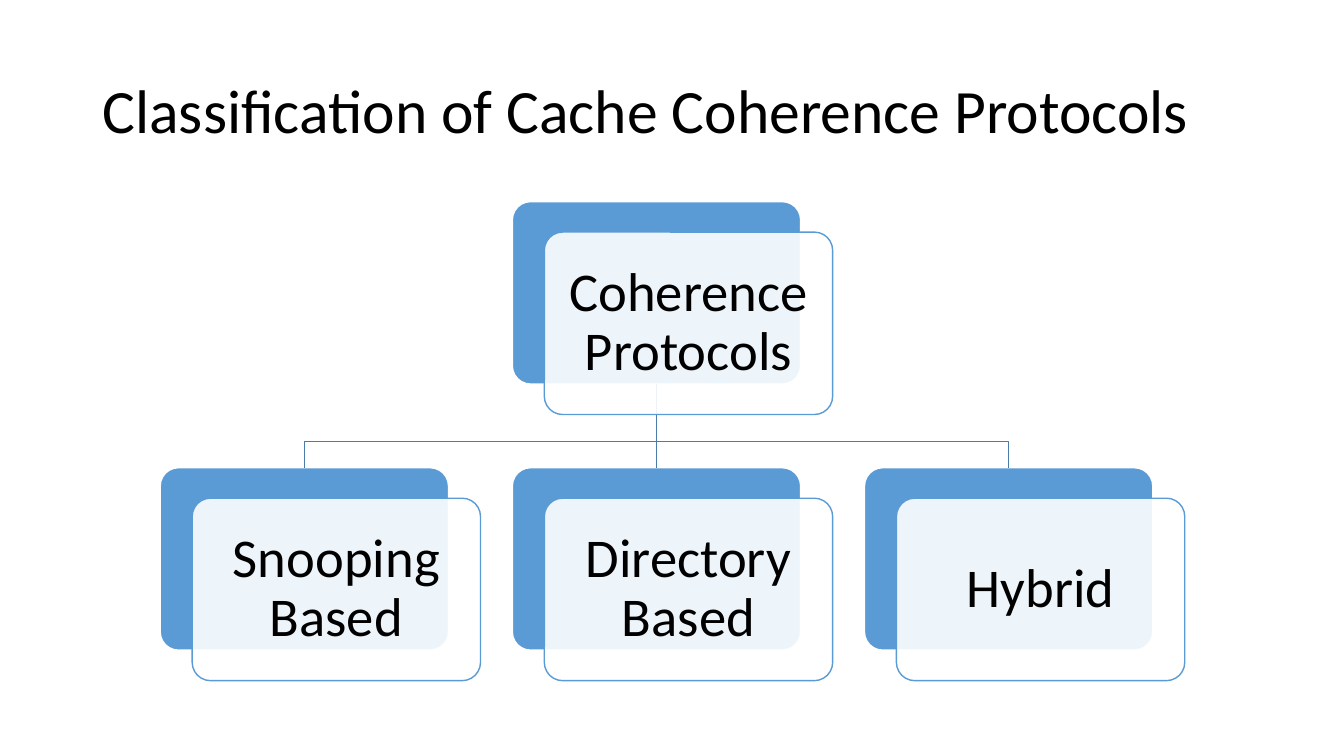
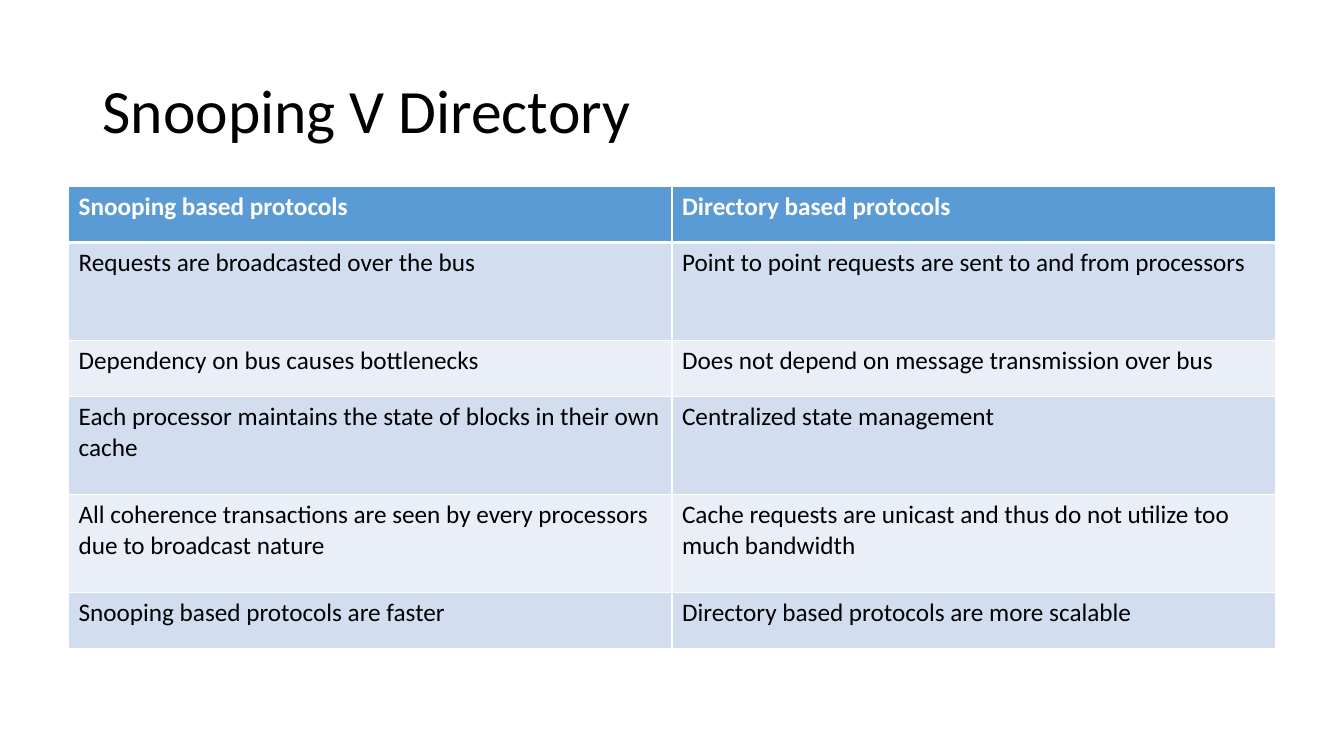
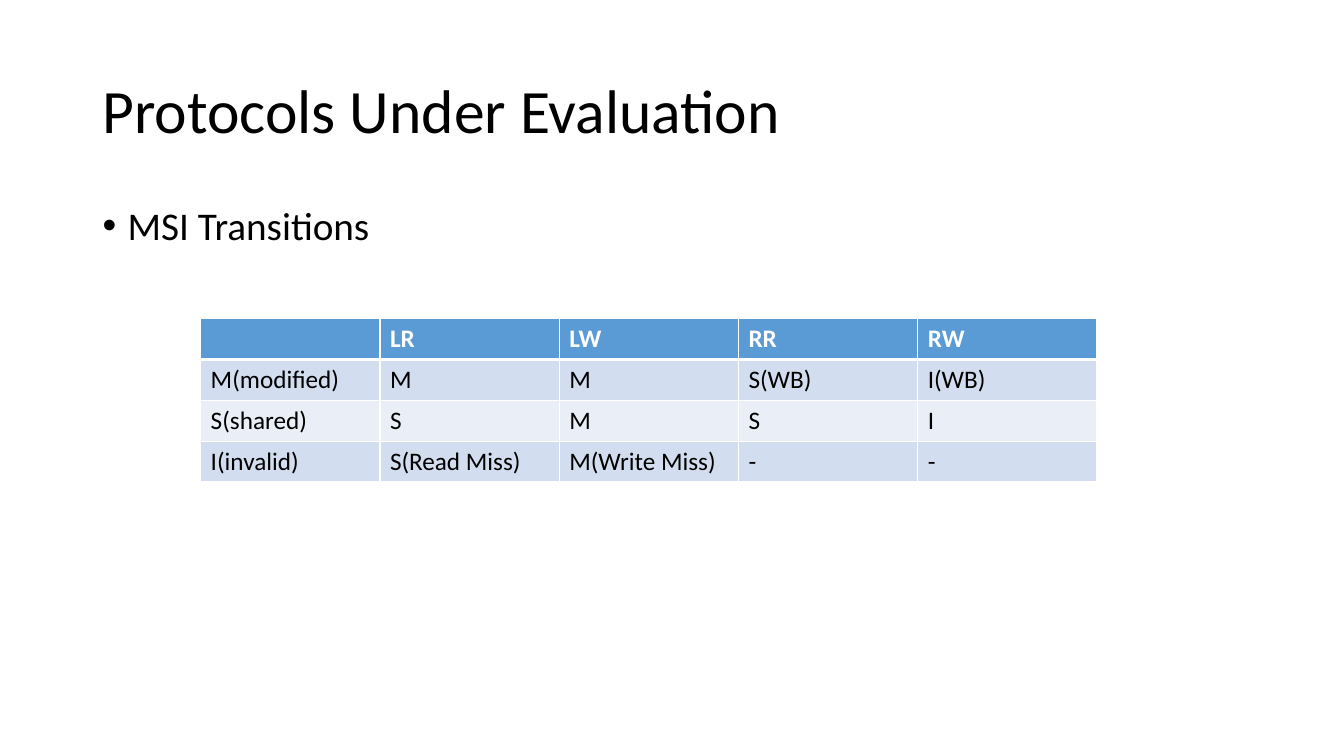
from lxml import etree
from pptx import Presentation
from pptx import util as u
from pptx.dml.color import RGBColor
from pptx.enum import shapes, text
from pptx.oxml import ns

W, H = u.Inches(13.33), u.Inches(7.5)
FONT = "Calibri"
BLACK, WHITE, BLUE, LINK = "000000", "FFFFFF", "5B9BD5", "497CAB"
BANDS = ("D2DEEF", "EAEFF7")
TITLE_BOX = (6.88, 5.32, 86.25, 19.33)
BODY_BOX = (6.88, 26.62, 86.25, 63.45)
CARD_W, CARD_H = 21.45, 24.13
TREE_LEFT, TREE_TOP = 11.92, 26.67
COL_STEP, ROW_STEP = 26.2, 35.2
BEND_Y = 58.4

COMPARISON = [
    ("Snooping based protocols", "Directory based protocols"),
    ("Requests are broadcasted over the bus",
     "Point to point requests are sent to and from processors"),
    ("Dependency on bus causes bottlenecks",
     "Does not depend on message transmission over bus"),
    ("Each processor maintains the state of blocks in their own cache",
     "Centralized state management"),
    ("All coherence transactions are seen by every processors due to broadcast nature",
     "Cache requests are unicast and thus do not utilize too much bandwidth"),
    ("Snooping based protocols are faster",
     "Directory based protocols are more scalable"),
]
TRANSITIONS = [
    ("", "LR", "LW", "RR", "RW"),
    ("M(modified)", "M", "M", "S(WB)", "I(WB)"),
    ("S(shared)", "S", "M", "S", "I"),
    ("I(invalid)", "S(Read Miss)", "M(Write Miss)", "-", "-"),
]


def rgb(value):
    """Turn a hex string into a colour."""
    return RGBColor.from_string(value)


def at(x, y, *size):
    """Turn percentages of the slide's width and height into lengths."""
    return [int(v * (H if i % 2 else W) / 100) for i, v in enumerate((x, y, *size))]


def child(parent, tag, **attrs):
    """Append a drawing element."""
    return etree.SubElement(parent, ns.qn(tag), attrs)


def add_run(p, words, size, color=BLACK, bold=False):
    """Add one formatted run to a paragraph."""
    r = p.add_run()
    r.text = words
    r.font.name, r.font.size, r.font.bold = FONT, u.Pt(size), bold
    r.font.color.rgb = rgb(color)


def fill_placeholder(sp, box, words, size, anchor):
    """Place a placeholder, write its text and return the paragraph."""
    sp.left, sp.top, sp.width, sp.height = at(*box)
    tf = sp.text_frame
    tf.auto_size = text.MSO_AUTO_SIZE.NONE
    tf.vertical_anchor = anchor
    p = tf.paragraphs[0]
    p.alignment, p.line_spacing = text.PP_ALIGN.LEFT, 0.9
    p.space_before = u.Pt(0)
    add_run(p, words, size)
    return p


def add_slide(prs, title, layout=5):
    """Add a slide with the shared title style."""
    s = prs.slides.add_slide(prs.slide_layouts[layout])
    fill_placeholder(s.shapes.title, TITLE_BOX, title, 44, text.MSO_ANCHOR.MIDDLE)
    return s


def add_bullet(s, words):
    """Write one bullet in the body placeholder."""
    p = fill_placeholder(s.placeholders[1], BODY_BOX, words, 28, text.MSO_ANCHOR.TOP)
    pPr = p._p.get_or_add_pPr()
    pPr.set("marL", str(u.Inches(0.25)))
    pPr.set("indent", str(-u.Inches(0.25)))
    child(pPr, "a:buFont", typeface="Arial")
    child(pPr, "a:buChar", char="•")


def add_card(s, col, row, fill, line):
    """Add a rounded card at a column and row of the tree."""
    box = at(TREE_LEFT + col * COL_STEP, TREE_TOP + row * ROW_STEP, CARD_W, CARD_H)
    sp = s.shapes.add_shape(shapes.MSO_SHAPE.ROUNDED_RECTANGLE, *box)
    sp.adjustments[0] = 0.1
    sp.shadow.inherit = False
    sp.fill.solid()
    sp.fill.fore_color.rgb = rgb(fill)
    sp.line.color.rgb = rgb(line)
    sp.line.width = u.Pt(1)
    return sp


def add_label_card(s, col, row, words):
    """Add the translucent front card that carries a label."""
    sp = add_card(s, col, row, WHITE, BLUE)
    dx, dy = at(2.38, 4.03)
    sp.left, sp.top = sp.left + dx, sp.top + dy
    color = sp._element.spPr.find(ns.qn("a:solidFill"))[0]
    child(color, "a:alpha", val="90000")
    tf = sp.text_frame
    tf.word_wrap = True
    tf.vertical_anchor = text.MSO_ANCHOR.MIDDLE
    tf.margin_left = tf.margin_right = tf.margin_top = tf.margin_bottom = u.Inches(0.16)
    p = tf.paragraphs[0]
    p.alignment, p.line_spacing = text.PP_ALIGN.CENTER, 0.9
    add_run(p, words, 39)


def style_link(sp):
    """Give a tree line its colour and width."""
    sp.line.color.rgb = rgb(LINK)
    sp.line.width = u.Pt(1)


def add_straight_link(s, parent, below):
    """Join a card to the one right below it."""
    sp = s.shapes.add_connector(shapes.MSO_CONNECTOR.STRAIGHT, 0, 0, 0, 0)
    sp.begin_connect(parent, 2)
    sp.end_connect(below, 0)
    style_link(sp)
    child(sp._element.spPr, "a:effectLst")


def add_bent_link(s, parent, below):
    """Draw a bent line from a card to one in another column."""
    x1, y1 = parent.left + parent.width // 2, parent.top + parent.height
    x2, y2 = below.left + below.width // 2, below.top
    bend = at(0, BEND_Y)[1]
    path = s.shapes.build_freeform(x1, y1)
    path.add_line_segments([(x1, bend), (x2, bend), (x2, y2)], close=False)
    sp = path.convert_to_shape()
    sp.shadow.inherit = False
    sp.fill.background()
    style_link(sp)


def add_tree(s, nodes):
    """Draw a root card and its children from (column, row, label) nodes."""
    root, *leaves = [add_card(s, col, row, BLUE, WHITE) for col, row, _ in nodes]
    for leaf in leaves:
        link = add_straight_link if leaf.left == root.left else add_bent_link
        link(s, root, leaf)
    for node in nodes:
        add_label_card(s, *node)


def set_borders(cell, row):
    """Give a cell white borders, thicker under the header."""
    tcPr = cell._tc.get_or_add_tcPr()
    thick = {(0, "B"), (1, "T")}
    for side in "LRTB":
        width = u.Pt(3 if (row, side) in thick else 1)
        ln = child(tcPr, f"a:ln{side}", w=str(width))
        child(child(ln, "a:solidFill"), "a:srgbClr", val=WHITE)


def add_table(s, box, rows, weights):
    """Add a banded table with equal columns and weighted rows."""
    x, y, w, h = at(*box)
    table = s.shapes.add_table(len(rows), len(rows[0]), x, y, w, h).table
    for i, (words, weight) in enumerate(zip(rows, weights)):
        table.rows[i].height = int(h * weight / sum(weights))
        for j, word in enumerate(words):
            cell = table.cell(i, j)
            set_borders(cell, i)
            cell.fill.solid()
            cell.fill.fore_color.rgb = rgb(BANDS[(i - 1) % 2] if i else BLUE)
            if word:
                p = cell.text_frame.paragraphs[0]
                add_run(p, word, 18, BLACK if i else WHITE, i == 0)


def main():
    """Build the three slides."""
    prs = Presentation()
    prs.slide_width, prs.slide_height = W, H

    s = add_slide(prs, "Classification of Cache Coherence Protocols")
    add_tree(s, [(1, 0, "Coherence Protocols"), (0, 1, "Snooping Based"),
                 (1, 1, "Directory Based"), (2, 1, "Hybrid")])

    s = add_slide(prs, "Snooping V Directory")
    add_table(s, (5.1, 24.67, 89.8, 61.17), COMPARISON, (4, 7, 4, 7, 7, 4))

    s = add_slide(prs, "Protocols Under Evaluation", layout=1)
    add_bullet(s, "MSI Transitions")
    add_table(s, (14.93, 42.13, 66.69, 21.6), TRANSITIONS, (1, 1, 1, 1))

    prs.save("out.pptx")


if __name__ == "__main__":
    main()
